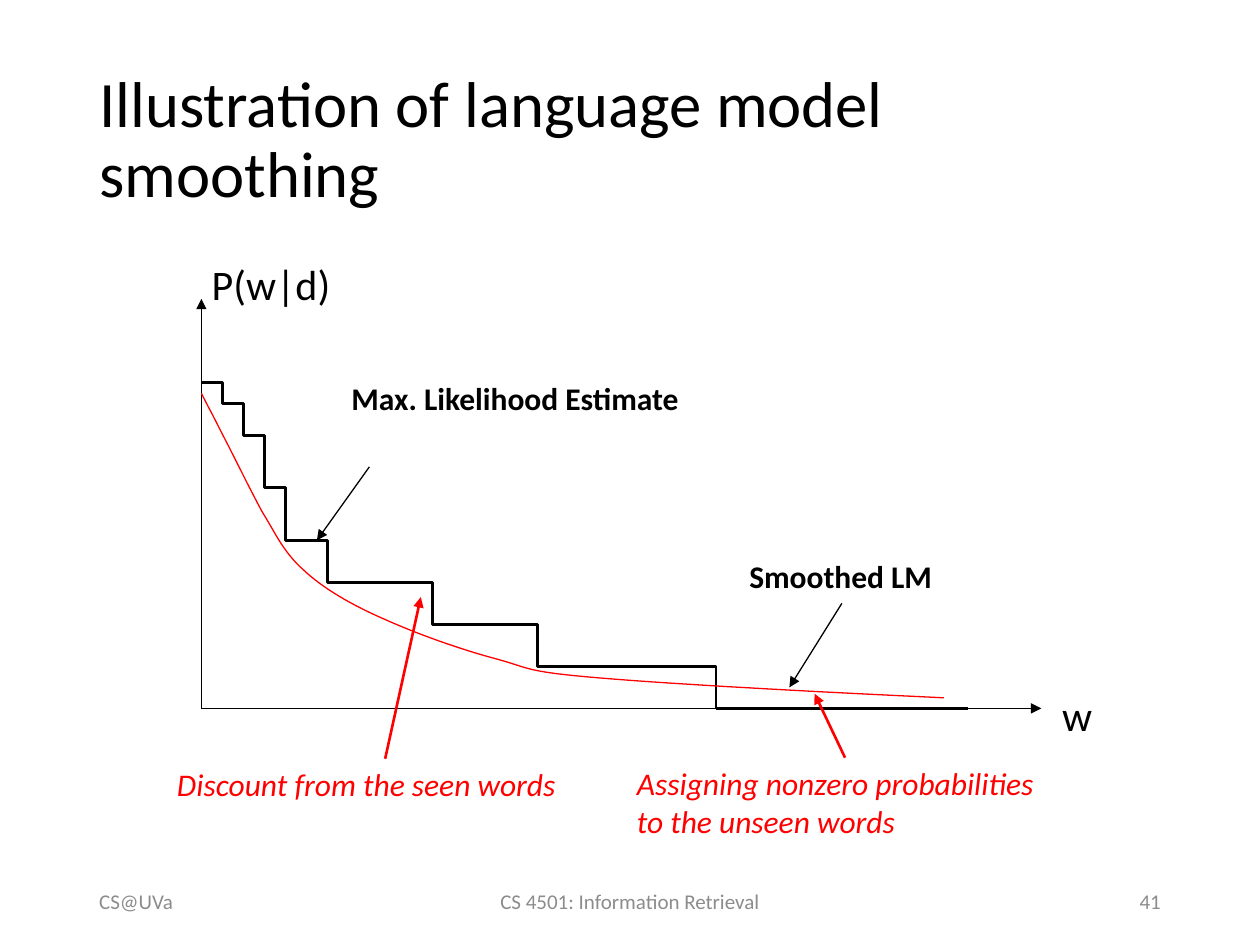
from lxml import etree
from pptx import Presentation
from pptx.dml.color import RGBColor
from pptx.enum import shapes, text
from pptx.oxml.ns import qn
from pptx.util import Cm, Pt

COLORS = {"ink": "000000", "accent": "FF0000", "muted": "8C8C8C"}
FONT = "Calibri"
UNIT = 2.54 / 12  # plot grid step in cm
LEFT, CENTER, RIGHT = text.PP_ALIGN.LEFT, text.PP_ALIGN.CENTER, text.PP_ALIGN.RIGHT
TOP, MIDDLE = text.MSO_ANCHOR.TOP, text.MSO_ANCHOR.MIDDLE

# Grid units from the plot origin, y upwards
STEP_ENDS = [2, 4, 6, 8, 12, 22, 32, 49]
STEP_HEIGHTS = [31, 29, 26, 21, 16, 12, 8, 4, 0]
CURVE = [
    (0, 30),
    (0.5, 29), (1, 28.1), (1.9, 26.3),
    (2.9, 24.4), (4.6, 20.9), (5.8, 18.7),
    (7.1, 16.6), (7.8, 14.9), (9.7, 13.2),
    (11.6, 11.4), (14.4, 9.8), (17.4, 8.5),
    (20.5, 7.1), (24.7, 5.6), (28.1, 4.7),
    (31.4, 3.8), (30.7, 3.5), (37.8, 2.9),
    (44.9, 2.3), (57.8, 1.6), (70.7, 1),
]


def rgb(name):
    return RGBColor.from_string(COLORS[name])


def style_text(tf, words, size, color="ink", align=LEFT, anchor=TOP, wrap=True, **marks):
    tf.word_wrap, tf.vertical_anchor = wrap, anchor
    p = tf.paragraphs[0]
    p.alignment = align
    r = p.add_run()
    r.text = words
    for name, value in {"name": FONT, "size": Pt(size), **marks}.items():
        setattr(r.font, name, value)
    r.font.color.rgb = rgb(color)
    return p


def add_text(s, box, words, size, **format_values):
    tb = s.shapes.add_textbox(*map(Cm, box))
    style_text(tb.text_frame, words, size, **format_values)


def add_line(s, start, end, color="ink", width=0.75, arrow=True):
    c = s.shapes.add_connector(shapes.MSO_CONNECTOR.STRAIGHT, *map(Cm, (*start, *end)))
    c.line.color.rgb, c.line.width = rgb(color), Pt(width)
    if arrow:
        etree.SubElement(c.line._get_or_add_ln(), qn("a:tailEnd"), type="triangle")
    etree.SubElement(c._element.spPr, qn("a:effectLst"))


def add_outline(s, points, color, width):
    points = [(Cm(x), Cm(y)) for x, y in points]
    builder = s.shapes.build_freeform(*points[0])
    builder.add_line_segments(points[1:], close=False)
    sp = builder.convert_to_shape()
    sp.shadow.inherit = False
    sp.fill.background()
    sp.line.color.rgb, sp.line.width = rgb(color), Pt(width)


def bezier_points(controls, pieces=16):
    """Sample a chain of cubic Bezier segments."""
    points = [controls[0]]
    for i in range(0, len(controls) - 1, 3):
        for k in range(1, pieces + 1):
            t = k / pieces
            weights = ((1 - t) ** 3, 3 * t * (1 - t) ** 2, 3 * t * t * (1 - t), t ** 3)
            segment = controls[i:i + 4]
            points.append(tuple(sum(w * pt[axis] for w, pt in zip(weights, segment))
                                for axis in (0, 1)))
    return points


def step_points():
    points = [(0, STEP_HEIGHTS[0])]
    for x, before, after in zip(STEP_ENDS, STEP_HEIGHTS, STEP_HEIGHTS[1:]):
        points += [(x, before), (x, after)]
    return points


def add_title(s, left, top, width, height):
    sp = s.shapes.title
    sp.left, sp.top, sp.width, sp.height = map(Cm, (left, top, width, height))
    tf = sp.text_frame
    tf.auto_size = text.MSO_AUTO_SIZE.NONE
    p = style_text(tf, "Illustration of language model smoothing", 37, anchor=MIDDLE)
    p.line_spacing = 0.9


def add_plot(s, left, base):
    """Draw the plot with its origin at (left, base)."""
    def at(x, y):
        return left + x * UNIT, base - y * UNIT

    def label(x, y, width, height, words, size=18, **format_values):
        add_text(s, (*at(x, y), width * UNIT, height * UNIT), words, size, **format_values)

    def arrow(start, end, **format_values):
        add_line(s, at(*start), at(*end), **format_values)

    arrow((0, 0), (80, 0))
    arrow((0, 0), (0, 39))
    label(-0.2, 43.4, 13.8, 6.1, "P(w|d)", 24, wrap=False)
    label(80.8, 2.4, 5.3, 6, "w", 24, wrap=False)

    add_outline(s, [at(*pt) for pt in step_points()], "ink", 1.5)
    arrow((STEP_ENDS[-1], 0), (73, 0), width=1.5, arrow=False)
    add_outline(s, [at(*pt) for pt in bezier_points(CURVE)], "accent", 0.75)

    label(13.1, 32, 39, 4.8, "Max. Likelihood Estimate", bold=True)
    arrow((16, 23), (11, 16))
    label(51, 15, 25, 4.4, "Smoothed LM", bold=True)
    arrow((61, 10), (56, 2))

    notes = [
        ((40.3, -4.7, 42, 8.5), "Assigning nonzero probabilities to the unseen words",
         (61.3, -4.7), (58.4, 1.4)),
        ((-3.5, -4.8, 42, 4.8), "Discount from the seen words", (17.5, -4.8), (20.9, 10.6)),
    ]
    for box, words, start, end in notes:
        label(*box, words, color="accent", italic=True)
        arrow(start, end, color="accent", width=1.5)


def add_footer(s, left, top, width, height):
    side, middle = 5.72, 8.57
    parts = [
        (0, side, "CS@UVa", LEFT),
        ((width - middle) / 2, middle, "CS 4501: Information Retrieval", CENTER),
        (width - side, side, "41", RIGHT),
    ]
    for x, w, words, align in parts:
        add_text(s, (left + x, top, w, height), words, 12,
                 color="muted", align=align, anchor=MIDDLE)


def main():
    prs = Presentation()
    prs.slide_width, prs.slide_height = Cm(25.4), Cm(19.05)
    s = prs.slides.add_slide(prs.slide_layouts[5])
    add_title(s, 1.75, 1.02, 21.9, 3.68)
    add_plot(s, 4.06, 14.28)
    add_footer(s, 1.75, 17.65, 21.9, 1.02)
    prs.save("out.pptx")


if __name__ == "__main__":
    main()
